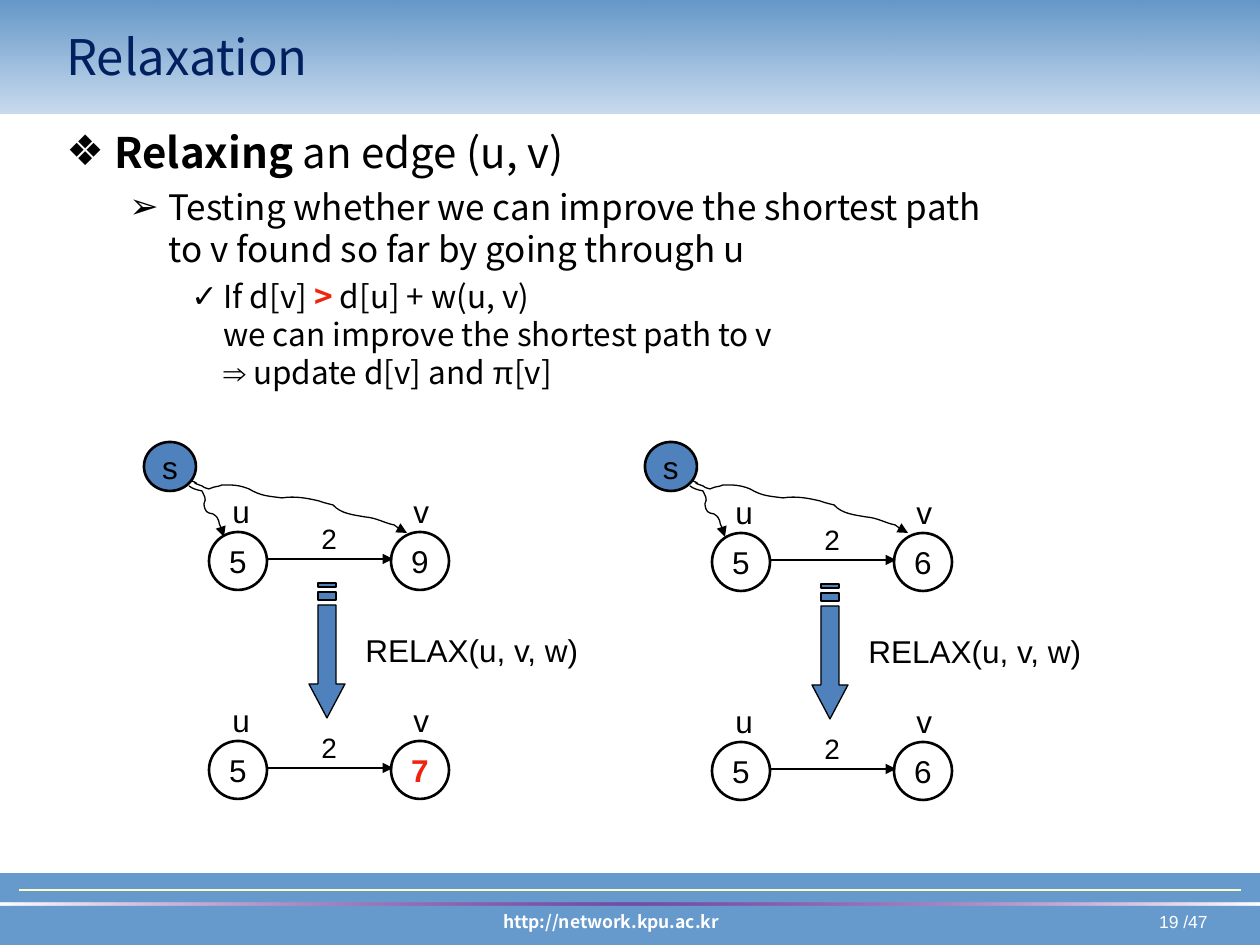
from lxml.etree import SubElement
from pptx import Presentation
from pptx.dml.color import RGBColor
from pptx.enum.shapes import MSO_CONNECTOR, MSO_SHAPE
from pptx.enum.text import MSO_ANCHOR, PP_ALIGN
from pptx.oxml.ns import qn
from pptx.util import Pt

PX = 7257
SANS, ARIAL = "Noto Sans CJK KR", "Arial"
BLACK, WHITE, RED, NAVY = "000000", "FFFFFF", "F0240E", "002060"
SKY, NODE_BLUE, PURPLE, CREAM = "6699CC", "4F81BD", "800080", "FFFFCC"

color = RGBColor.from_string
prs = Presentation()
prs.slide_width, prs.slide_height = 1260 * PX, 945 * PX
slide = prs.slides.add_slide(prs.slide_layouts[6])
shapes = slide.shapes


def add_run(paragraph, text, size, hue=BLACK, font=ARIAL, bold=False):
    run = paragraph.add_run()
    run.text = text
    run.font.size = Pt(size)
    run.font.name = font
    run.font.bold = bold
    run.font.color.rgb = color(hue)


def add_label(box, text, size, hue=BLACK, font=ARIAL, bold=False,
              align=PP_ALIGN.LEFT, circle=False, fill=None):
    place = [n * PX for n in box]
    if circle:
        label = shapes.add_shape(MSO_SHAPE.OVAL, *place)
        label.shadow.inherit = False
        label.line.color.rgb = color(BLACK)
        label.line.width = Pt(1.5)
        if fill:
            label.fill.solid()
            label.fill.fore_color.rgb = color(fill)
        else:
            label.fill.background()
        align = PP_ALIGN.CENTER
    else:
        label = shapes.add_textbox(*place)
    frame = label.text_frame
    frame.word_wrap = False
    frame.vertical_anchor = MSO_ANCHOR.MIDDLE if circle else MSO_ANCHOR.TOP
    frame.paragraphs[0].alignment = align
    add_run(frame.paragraphs[0], text, size, hue, font, bold)
    return frame


footer = shapes.add_shape(MSO_SHAPE.RECTANGLE, 0, 874 * PX, 1260 * PX, 70 * PX)
footer.shadow.inherit = False
footer.fill.solid()
footer.fill.fore_color.rgb = color(SKY)
footer.line.color.rgb = color(SKY)
footer.line.width = Pt(0.75)

bands = [
    (0, 114, 90, [(0, SKY, 35), (100, "6497C9", 100)]),
    (903, 3, 0, [(0, WHITE, 100), (50, PURPLE, 50), (100, WHITE, 100)]),
]
for top, height, angle, stops in bands:
    band = shapes.add_shape(MSO_SHAPE.RECTANGLE, 0, top * PX, 1260 * PX, height * PX)
    band.shadow.inherit = False
    band.line.fill.background()
    band.fill.gradient()
    band.fill.gradient_angle = angle
    stop_list = next(band._element.iter(qn("a:gsLst")))
    for default_stop in list(stop_list):
        stop_list.remove(default_stop)
    for position, hue, opacity in stops:
        stop = SubElement(stop_list, qn("a:gs"), pos=str(position * 1000))
        tint = SubElement(stop, qn("a:srgbClr"), val=hue)
        SubElement(tint, qn("a:alpha"), val=str(opacity * 1000))

add_label((935, 905, 285, 34), "19 /47", 10, WHITE, align=PP_ALIGN.RIGHT)
add_label((286, 905, 650, 34), "http://network.kpu.ac.kr", 10, WHITE, SANS, True,
          PP_ALIGN.CENTER)
title = add_label((54, 6, 1171, 100), "Relaxation", 28, NAVY, SANS)
title.vertical_anchor = MSO_ANCHOR.MIDDLE

points = [
    ("❖", 48, 48, 0, 24, [[("Relaxing ", BLACK, SANS, True),
                           ("an edge (u, v)", BLACK, SANS, False)]]),
    ("➢", 102, 39, 5, 20, [
        [("Testing whether we can improve the shortest path", BLACK, SANS, False)],
        [("to v found so far by going through u", BLACK, SANS, False)]]),
    ("✓", 157, 32, 4.5, 18, [
        [("If d[v] ", BLACK, SANS, False), (">", RED, SANS, True),
         (" d[u] + w(u, v)", BLACK, SANS, False)],
        [("we can improve the shortest path to v", BLACK, SANS, False)],
        [("⇒", BLACK, ARIAL, False), (" update d[v] and ", BLACK, SANS, False),
         ("π", BLACK, ARIAL, False), ("[v]", BLACK, SANS, False)]]),
]
body = shapes.add_textbox(54 * PX, 120 * PX, 1134 * PX, 402 * PX).text_frame
body.word_wrap = True
for level, (bullet, margin, hanging, before, size, lines) in enumerate(points):
    paragraph = body.add_paragraph() if level else body.paragraphs[0]
    paragraph.level = level
    properties = paragraph._p.get_or_add_pPr()
    properties.set("marL", str(margin * PX))
    properties.set("indent", str(-hanging * PX))
    bullet_color = SubElement(properties, qn("a:buClr"))
    SubElement(bullet_color, qn("a:srgbClr"), val=BLACK)
    SubElement(properties, qn("a:buFont"), typeface=ARIAL)
    SubElement(properties, qn("a:buChar"), char=bullet)
    paragraph.space_before = Pt(before)
    for number, line in enumerate(lines):
        if number:
            paragraph.add_line_break()
        for text, hue, font, bold in line:
            add_run(paragraph, text, size, hue, font, bold)

graphs = [
    (0, 0, "9", BLACK, False),
    (0, 209, "7", RED, True),
    (503, 1, "6", BLACK, False),
    (503, 210, "6", BLACK, False),
]
edges = [(19, 1241, 890, CREAM)]
for dx, dy, distance, hue, bold in graphs:
    add_label((209 + dx, 532 + dy, 58, 58), "5", 18, circle=True)
    add_label((391 + dx, 532 + dy, 58, 58), distance, 18, hue, bold=bold, circle=True)
    add_label((309 + dx, 515 + dy, 40, 47), "2", 16)
    add_label((220 + dx, 486 + dy, 43, 50), "u", 18)
    add_label((401 + dx, 486 + dy, 40, 50), "v", 18)
    edges.append((266 + dx, 393 + dx, 559 + dy, BLACK))

arrows = []
for start, end, y, hue in edges:
    edge = shapes.add_connector(MSO_CONNECTOR.STRAIGHT, start * PX, y * PX, end * PX, y * PX)
    edge.line.color.rgb = color(hue)
    edge.line.width = Pt(1.5)
    SubElement(edge._element.spPr, qn("a:effectLst"))
    if hue == BLACK:
        arrows.append(edge)

relax_outlines = [
    [(345, 684), (336, 684), (336, 605), (318, 605), (318, 684), (309, 684), (327, 718)],
    [(336, 592), (318, 592), (318, 600), (336, 600)],
    [(336, 583), (318, 583), (318, 587), (336, 587)],
]
for dx, dy in [(0, 0), (503, 1)]:
    moved = [[(x + dx, y + dy) for x, y in outline] for outline in relax_outlines]
    builder = shapes.build_freeform(*moved[0][0], scale=PX)
    builder.add_line_segments(moved[0][1:], close=True)
    for stripe in moved[1:]:
        builder.move_to(*stripe[0])
        builder.add_line_segments(stripe[1:], close=True)
    relax_arrow = builder.convert_to_shape()
    relax_arrow.shadow.inherit = False
    relax_arrow.fill.solid()
    relax_arrow.fill.fore_color.rgb = color(NODE_BLUE)
    relax_arrow.line.color.rgb = color(BLACK)
    relax_arrow.line.width = Pt(0.75)
    add_label((353 + dx, 625 + dy, 241, 50), "RELAX(u, v, w)", 18)

route_to_u = [
    (189, 486), (193, 489), (197, 490), (202, 491), (204, 496), (207, 498), (204, 504),
    (205, 512), (207, 513), (213, 514), (221, 519), (217, 523), (222, 529),
    (223, 534), (223, 533), (224, 537),
]
route_to_v = [
    (192, 481), (204, 486), (185, 480), (202, 486), (204, 488), (209, 489), (209, 489),
    (219, 485), (215, 488), (222, 485), (233, 485), (239, 485), (249, 489),
    (261, 496), (267, 496), (282, 498), (295, 496), (306, 498), (319, 501),
    (324, 503), (333, 505), (333, 505), (341, 514), (354, 515), (365, 517),
    (377, 518), (384, 523), (394, 525), (397, 527), (401, 530), (402, 532),
    (403, 532), (407, 533), (407, 533),
]
for dx in (0, 501):
    add_label((144 + dx, 442, 52, 49), "s", 18, circle=True, fill=NODE_BLUE)
    for route in (route_to_u, route_to_v):
        moved = [(x + dx, y) for x, y in route]
        builder = shapes.build_freeform(*moved[0], scale=PX)
        builder.add_line_segments(moved[1:], close=False)
        curve = builder.convert_to_shape()
        curve.shadow.inherit = False
        curve.fill.background()
        curve.line.color.rgb = color(BLACK)
        curve.line.width = Pt(0.75)
        outline = next(curve._element.iter(qn("a:path")))
        segments = list(outline)[1:]
        for first in range(0, len(segments), 3):
            bend = SubElement(outline, qn("a:cubicBezTo"))
            for segment in segments[first:first + 3]:
                bend.append(segment[0])
                outline.remove(segment)
        arrows.append(curve)

for arrow in arrows:
    SubElement(arrow.line._get_or_add_ln(), qn("a:tailEnd"), type="triangle")

prs.save("out.pptx")
